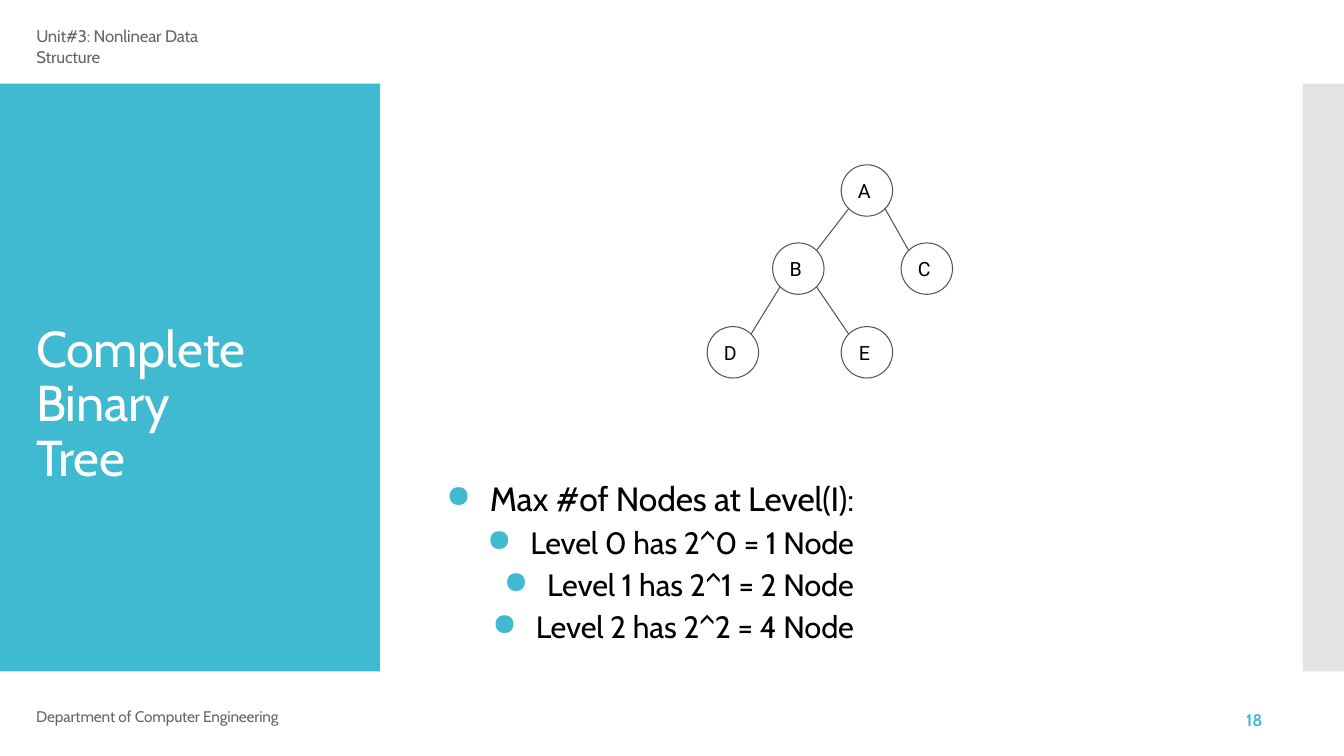
from dataclasses import dataclass
from math import sqrt

from lxml import etree
from pptx import Presentation
from pptx.dml.color import RGBColor
from pptx.enum.shapes import MSO_CONNECTOR, MSO_SHAPE
from pptx.enum.text import MSO_ANCHOR, PP_ALIGN
from pptx.oxml.ns import qn
from pptx.util import Emu, Inches, Pt

RECTANGLE, OVAL = MSO_SHAPE.RECTANGLE, MSO_SHAPE.OVAL
STRAIGHT = MSO_CONNECTOR.STRAIGHT
MIDDLE = MSO_ANCHOR.MIDDLE
LEFT, CENTER, RIGHT = PP_ALIGN.LEFT, PP_ALIGN.CENTER, PP_ALIGN.RIGHT

TEAL = RGBColor(0x40, 0xBA, 0xD1)
SILVER = RGBColor(0xC8, 0xC8, 0xC8)
GREY = RGBColor(0x66, 0x66, 0x66)
OUTLINE = RGBColor(0x54, 0x54, 0x54)
BLACK = RGBColor(0, 0, 0)
WHITE = RGBColor(0xFF, 0xFF, 0xFF)

# The grid has 100 columns and 100 rows
SLIDE_WIDTH, SLIDE_HEIGHT = Inches(13.33), Inches(7.5)
PANEL_TOP, PANEL_ROWS = 11.07, 77.73
MARGIN = 2.7
NODE_SIZE = Inches(0.51)
NODE_DIAGONAL = round(NODE_SIZE / 2 / sqrt(2))
OUTLINE_WIDTH = Pt(0.75)


@dataclass
class Panel:
    column: float
    columns: float
    color: RGBColor
    opacity: int = 100


@dataclass
class Line:
    text: str
    size: float
    color: RGBColor
    font: str = "Cabin"
    bold: bool = False
    tracking: float = -0.1
    align: PP_ALIGN = LEFT
    before: float = 0
    spacing: float = 0
    level: int = 0
    bullet_share: int = 0


@dataclass
class Block:
    column: float
    row: float
    columns: float
    rows: float
    lines: list[Line]
    inset: float = 0


@dataclass
class Node:
    column: float
    row: float
    parent: str = ""


PANELS = [Panel(0, 28.28, TEAL), Panel(96.92, 3.08, SILVER, 50)]

LEVELS = [
    Line(f"Level {level} has 2^{level} = {2 ** level} Node", 22, BLACK, align=RIGHT,
         before=3.6 if level else 4.3, level=1, bullet_share=100)
    for level in range(3)
]
HEADING = Line("Max #of Nodes at Level(I):", 24, BLACK, align=RIGHT,
               before=5.7, bullet_share=92)

BLOCKS = [
    Block(MARGIN, 3.33, 16.5, 5.4,
          [Line("Unit#3: Nonlinear Data Structure", 12, GREY, before=1)], 0.01),
    Block(MARGIN, 41.6, 17, 23,
          [Line("Complete Binary Tree", 36, WHITE, before=5.8, spacing=39)], 0.08),
    Block(32.86, 62.13, 30.68, 23.33, [HEADING, *LEVELS], 0.08),
    Block(MARGIN, 93.87, 20, 2.4,
          [Line("Department of Computer Engineering", 11, GREY, spacing=11.4)]),
    Block(92.72, 94.27, 2.5, 2.53,
          [Line("18", 12, TEAL, bold=True, tracking=0, spacing=12.3)]),
]

TREE = {
    "A": Node(64.5, 25.2),
    "B": Node(59.4, 35.53, "A"),
    "C": Node(68.96, 35.53, "A"),
    "D": Node(54.53, 46.6, "B"),
    "E": Node(64.5, 46.6, "B"),
}


def across(columns: float) -> Emu:
    return Emu(round(SLIDE_WIDTH * columns / 100))


def down(rows: float) -> Emu:
    return Emu(round(SLIDE_HEIGHT * rows / 100))


def add_bullet(paragraph, share: int) -> None:
    properties = paragraph._p.get_or_add_pPr()
    hanging = Inches(0.43)
    properties.set("marL", str(hanging))
    properties.set("indent", str(-hanging))
    color = etree.SubElement(properties, qn("a:buClr"))
    etree.SubElement(color, qn("a:srgbClr"), val=str(TEAL))
    etree.SubElement(properties, qn("a:buSzPct"), val=str(share * 1000))
    etree.SubElement(properties, qn("a:buChar"), char="●")


def write_line(paragraph, line: Line) -> None:
    paragraph.text = line.text
    paragraph.alignment = line.align
    paragraph.level = line.level
    paragraph.space_before = Pt(line.before)
    if line.spacing:
        paragraph.line_spacing = Pt(line.spacing)
    if line.bullet_share:
        add_bullet(paragraph, line.bullet_share)
    for run in paragraph.runs:
        run.font.size = Pt(line.size)
        run.font.name = line.font
        run.font.bold = line.bold
        run.font.color.rgb = line.color
        run.font._element.set("spc", str(round(line.tracking * 100)))


def clear_insets(frame) -> None:
    frame.margin_left = frame.margin_top = 0
    frame.margin_right = frame.margin_bottom = 0


def draw_panel(slide, panel: Panel) -> None:
    shape = slide.shapes.add_shape(RECTANGLE, across(panel.column), down(PANEL_TOP),
                                   across(panel.columns), down(PANEL_ROWS))
    shape.shadow.inherit = False
    shape.line.fill.background()
    shape.fill.solid()
    shape.fill.fore_color.rgb = panel.color
    if panel.opacity < 100:
        color = shape._element.spPr.find(".//" + qn("a:srgbClr"))
        etree.SubElement(color, qn("a:alpha"), val=str(panel.opacity * 1000))


def draw_block(slide, block: Block) -> None:
    frame = slide.shapes.add_textbox(across(block.column), down(block.row),
                                     across(block.columns), down(block.rows)).text_frame
    frame.word_wrap = True
    clear_insets(frame)
    frame.margin_top = Inches(block.inset)
    for index, line in enumerate(block.lines):
        write_line(frame.add_paragraph() if index else frame.paragraphs[0], line)


def draw_node(slide, label: str, node: Node) -> None:
    radius = NODE_SIZE // 2
    circle = slide.shapes.add_shape(OVAL, across(node.column) - radius,
                                    down(node.row) - radius, NODE_SIZE, NODE_SIZE)
    circle.shadow.inherit = False
    circle.fill.background()
    circle.line.color.rgb = OUTLINE
    circle.line.width = OUTLINE_WIDTH
    frame = circle.text_frame
    clear_insets(frame)
    frame.margin_right = Inches(0.05)
    frame.vertical_anchor = MIDDLE
    write_line(frame.paragraphs[0],
               Line(label, 14, BLACK, font="Roboto", tracking=0, align=CENTER))


def draw_edge(slide, parent: Node, child: Node) -> None:
    side = NODE_DIAGONAL if child.column > parent.column else -NODE_DIAGONAL
    edge = slide.shapes.add_connector(
        STRAIGHT, across(parent.column) + side, down(parent.row) + NODE_DIAGONAL,
        across(child.column) - side, down(child.row) - NODE_DIAGONAL)
    edge.line.color.rgb = OUTLINE
    edge.line.width = OUTLINE_WIDTH
    etree.SubElement(edge._element.spPr, qn("a:effectLst"))


def main() -> None:
    deck = Presentation()
    deck.slide_width, deck.slide_height = SLIDE_WIDTH, SLIDE_HEIGHT
    slide = deck.slides.add_slide(deck.slide_layouts[6])

    # Side panels and text
    for panel in PANELS:
        draw_panel(slide, panel)
    for block in BLOCKS:
        draw_block(slide, block)

    # Binary tree
    for label, node in TREE.items():
        draw_node(slide, label, node)
        if node.parent:
            draw_edge(slide, TREE[node.parent], node)

    deck.save("out.pptx")


if __name__ == "__main__":
    main()
